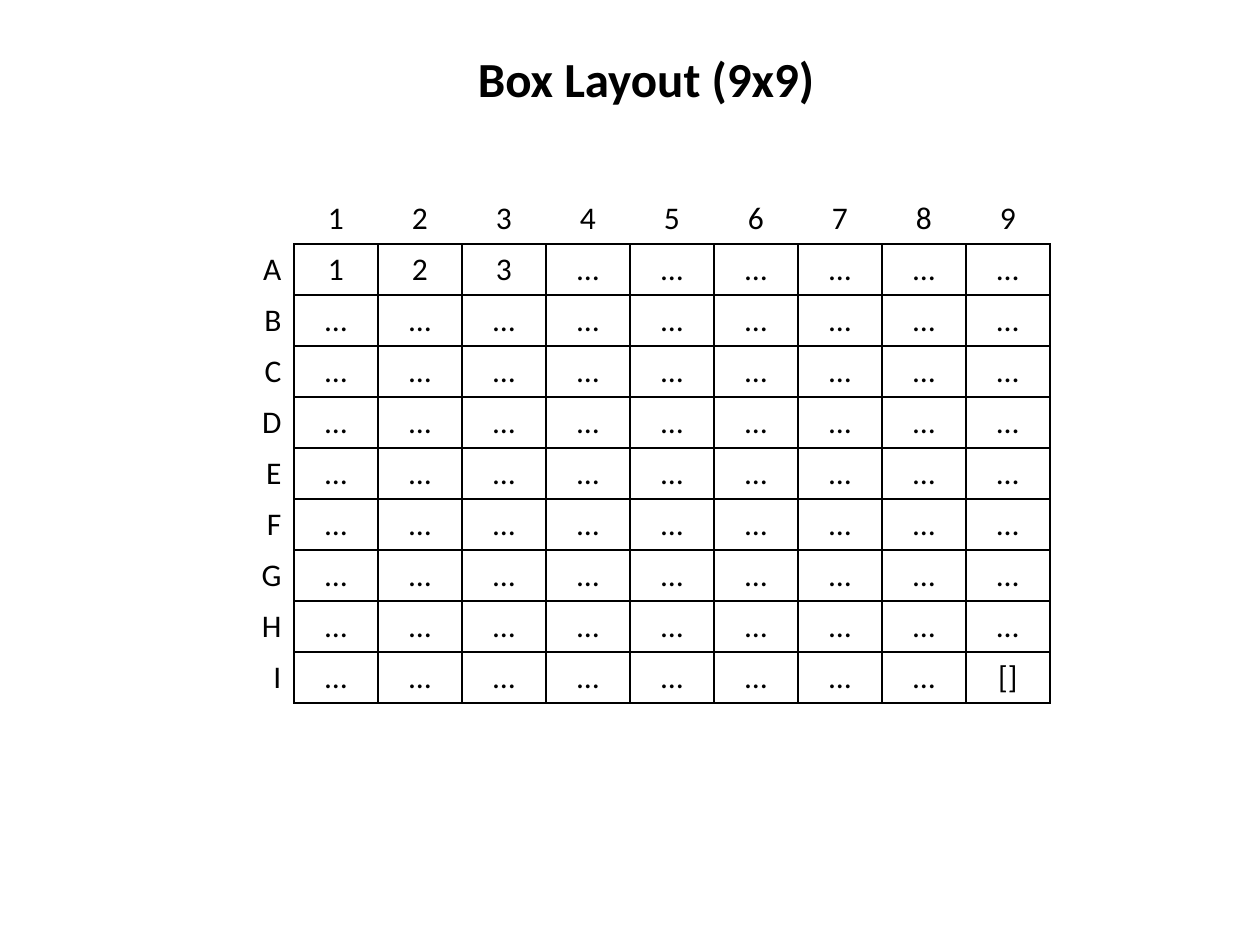
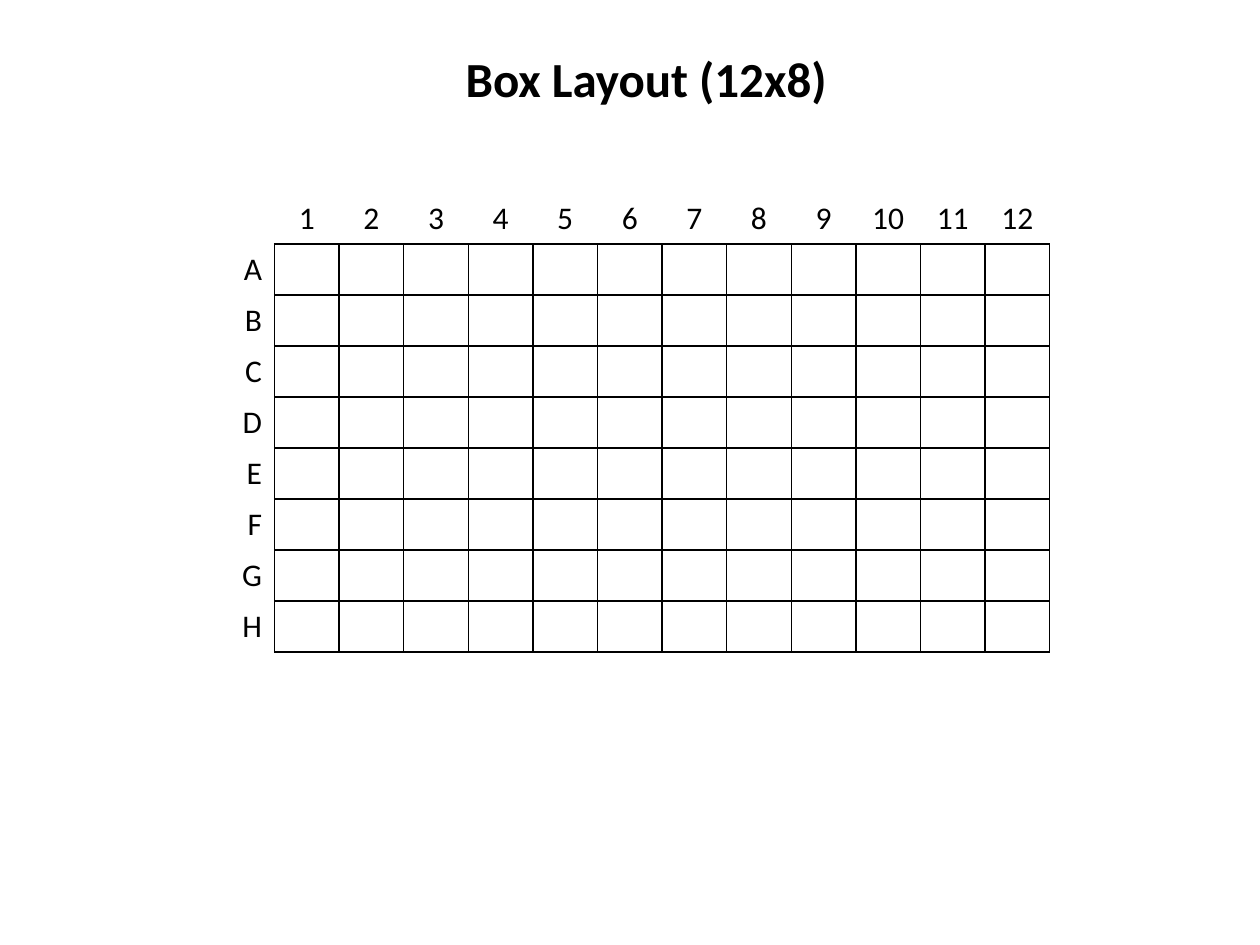
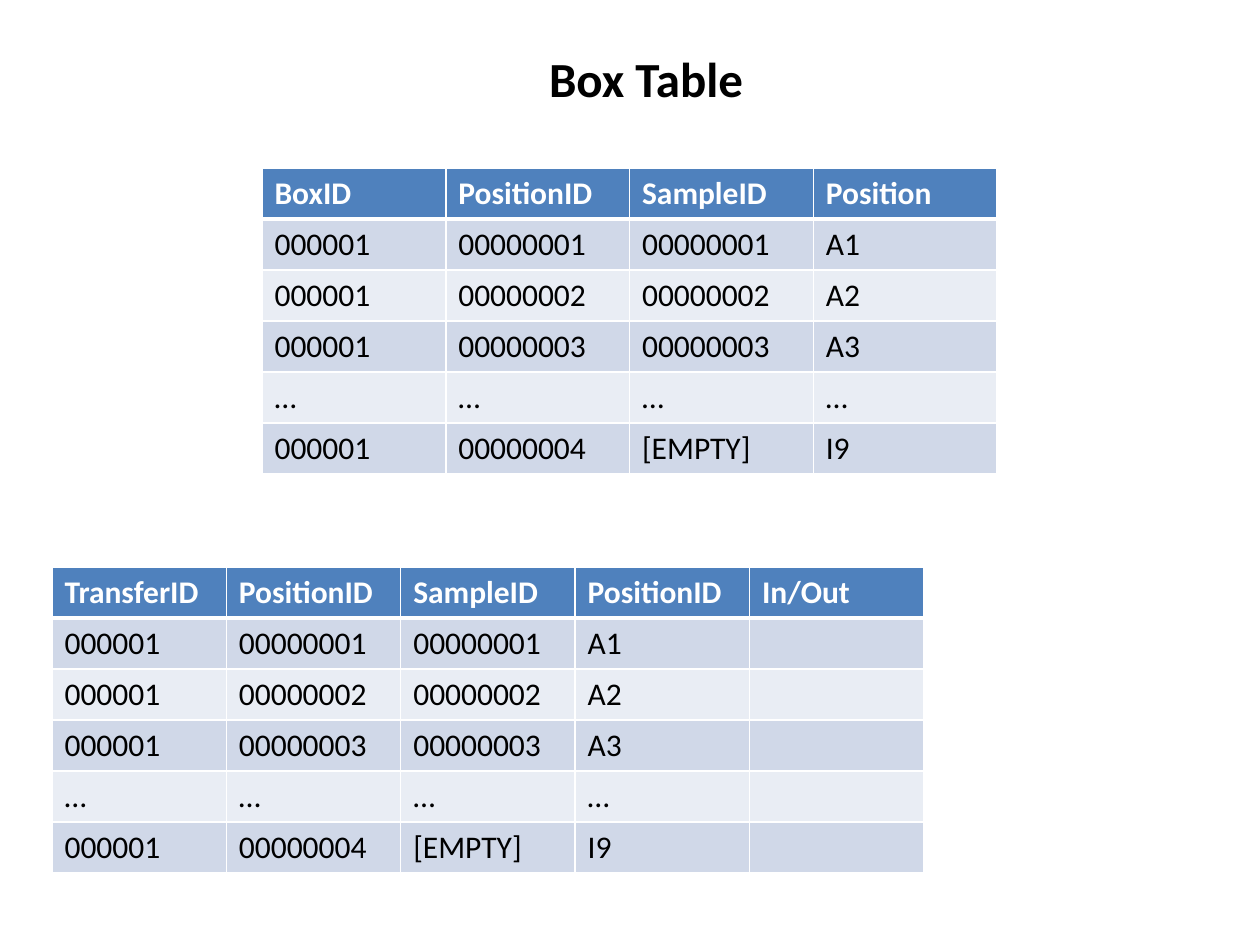
from lxml.etree import SubElement as Sub
from pptx import Presentation
from pptx.dml.color import RGBColor as Rgb
from pptx.enum.text import MSO_ANCHOR as Anchor, MSO_AUTO_SIZE as Fit, PP_ALIGN as Align
from pptx.oxml.ns import qn
from pptx.util import Pt

INK = {"text": "000000", "white": "FFFFFF", "head": "4F81BD", "odd": "D0D8E8", "even": "E9EDF4"}
FONT = "Calibri"
DOTS = "…"
ROW = 51

FULL = [[DOTS] * 9 for _ in range(9)]
FULL[0][:3] = "1", "2", "3"
FULL[-1][-1] = "[]"
BARE = [[""] * 12 for _ in range(8)]
GRIDS = [("Box Layout (9x9)", FULL), ("Box Layout (12x8)", BARE)]

ROWS = [
    ("000001", "00000001", "00000001", "A1"),
    ("000001", "00000002", "00000002", "A2"),
    ("000001", "00000003", "00000003", "A3"),
    (DOTS, DOTS, DOTS, DOTS),
    ("000001", "00000004", "[EMPTY]", "I9"),
]
BOXES = [("BoxID", "PositionID", "SampleID", "Position"), *ROWS]
MOVES = [
    ("TransferID", "PositionID", "SampleID", "PositionID", "In/Out"),
    *[(*row, "") for row in ROWS],
]
LISTS = [(262, 168, 735, BOXES), (52, 567, 872, MOVES)]


def px(n):
    return round(n * 914400 / 126)


def style(para, size, ink, bold=False, align=Align.LEFT):
    para.alignment = align
    for run in para.runs:
        font = run.font
        font.name, font.size, font.bold = FONT, Pt(size), bold
        font.color.rgb = Rgb.from_string(INK[ink])


def edge(cell, ink, wide):
    props = cell._tc.get_or_add_tcPr()
    for side in "LRTB":
        width = wide.get(side, 0)
        line = Sub(props, qn(f"a:ln{side}"), w=str(Pt(width)))
        if width:
            Sub(Sub(line, qn("a:solidFill")), qn("a:srgbClr"), val=INK[ink])
        else:
            Sub(line, qn("a:noFill"))


def start(deck, title):
    slide = deck.slides.add_slide(deck.slide_layouts[6])
    box = slide.shapes.add_textbox(px(63), px(42), px(1166), px(72))
    frame = box.text_frame
    frame.word_wrap = True
    frame.auto_size = Fit.SHAPE_TO_FIT_TEXT
    frame.text = title
    style(frame.paragraphs[0], 28, "text", True, Align.CENTER)
    return slide


def table(slide, left, top, width, data):
    rows, cols = len(data), len(data[0])
    shape = slide.shapes.add_table(rows, cols, px(left), px(top), px(width), px(ROW * rows))
    grid = shape.table
    grid.first_row = grid.horz_banding = False
    for col in grid.columns:
        col.width = px(width / cols)
    for r, row in enumerate(data):
        grid.rows[r].height = px(ROW)
        for c, text in enumerate(row):
            cell = grid.cell(r, c)
            cell.text_frame.text = text
            yield r, c, cell, cell.text_frame.paragraphs[0]


def layout(deck, title, body):
    slide = start(deck, title)
    head = ["", *[str(n + 1) for n in range(len(body[0]))]]
    data = [head, *[[chr(ord("A") + n), *row] for n, row in enumerate(body)]]
    for r, c, cell, para in table(slide, 210, 193, 840, data):
        sides = "LRTB" if r and c else "R" if r else "B" if c else ""
        edge(cell, "text", dict.fromkeys(sides, 1))
        cell.fill.background()
        if r and c < 2:
            cell.vertical_anchor = Anchor.MIDDLE
        style(para, 18, "text", align=Align.CENTER if c else Align.RIGHT)


def listing(slide, left, top, width, data):
    for r, c, cell, para in table(slide, left, top, width, data):
        edge(cell, "white", {"L": 1, "R": 1, "T": 3 if r == 1 else 1, "B": 1 if r else 3})
        cell.fill.solid()
        tone = "head" if r == 0 else "odd" if r % 2 else "even"
        cell.fill.fore_color.rgb = Rgb.from_string(INK[tone])
        style(para, 18, "text" if r else "white", r == 0)


def main():
    deck = Presentation()
    deck.slide_width, deck.slide_height = px(1260), px(945)
    for title, body in GRIDS:
        layout(deck, title, body)
    slide = start(deck, "Box Table")
    for item in LISTS:
        listing(slide, *item)
    deck.save("out.pptx")


if __name__ == "__main__":
    main()
